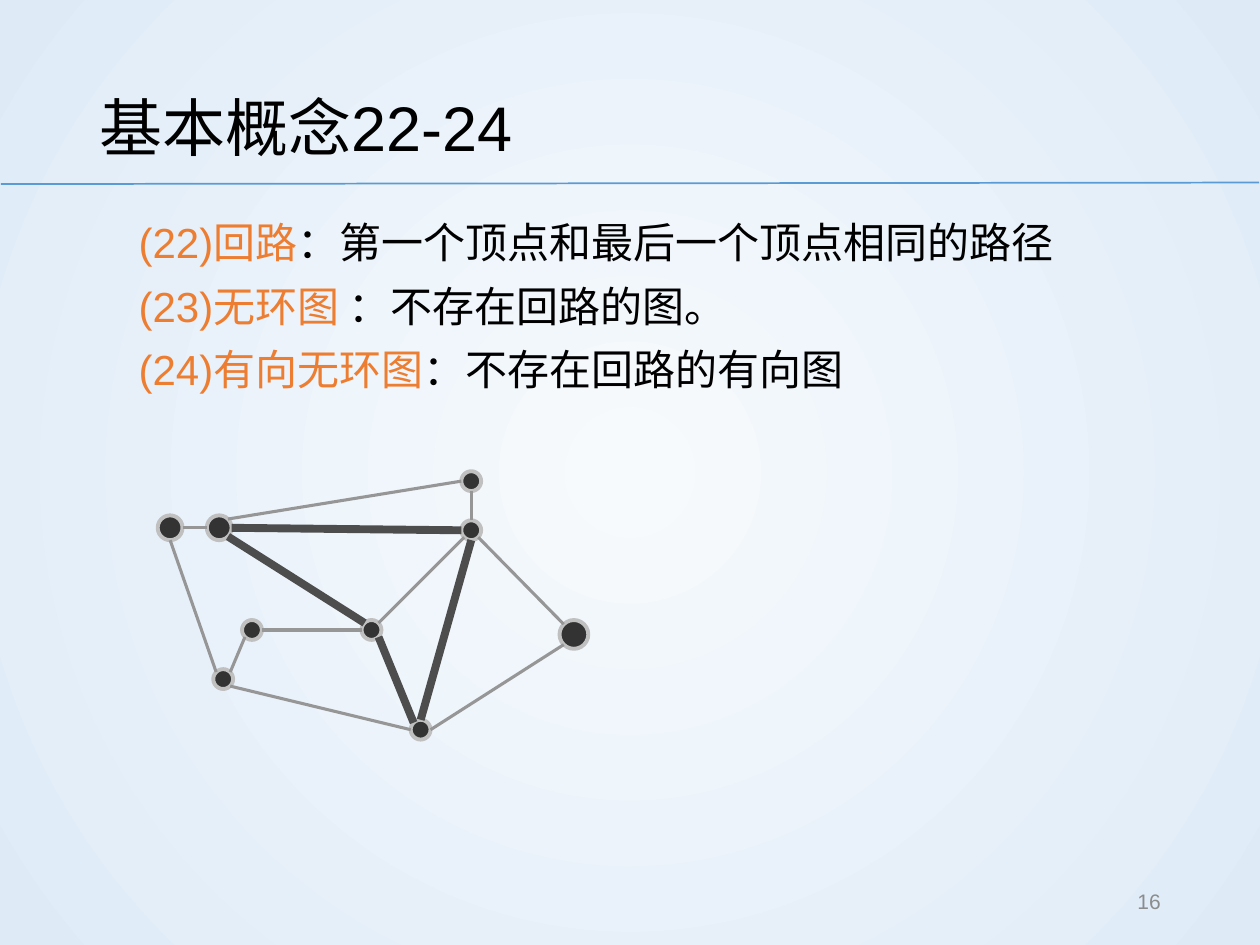
from dataclasses import dataclass
from math import sqrt

from lxml.etree import SubElement
from pptx import Presentation
from pptx.dml.color import RGBColor
from pptx.enum.shapes import MSO_CONNECTOR, MSO_SHAPE
from pptx.enum.text import MSO_ANCHOR, MSO_AUTO_SIZE, PP_ALIGN
from pptx.oxml.ns import qn
from pptx.util import Cm, Pt


@dataclass(frozen=True)
class Theme:
    font: str = "Arial"
    text: str = "000000"
    term: str = "ED7D31"
    page: str = "8C8C8C"
    rule: str = "5B9BD5"
    centre: str = "F7FAFD"
    rim: str = "DEEBF7"
    vertex: str = "333333"
    ring: str = "C0C0C0"
    edge: str = "969696"
    cycle: str = "4D4D4D"
    title_size: float = 36
    body_size: float = 24
    page_size: float = 12
    ring_width: float = 2.25
    edge_width: float = 1.75
    cycle_width: float = 4.5


THEME = Theme()

DEFINITIONS = [
    ("(22)回路", "：第一个顶点和最后一个顶点相同的路径"),
    ("(23)无环图", " ：不存在回路的图。"),
    ("(24)有向无环图", "：不存在回路的有向图"),
]

# Vertices: centre x, centre y, radius in cm
VERTICES = {
    "far_left": (3.43, 10.64, 0.25),
    "left": (4.42, 10.64, 0.25),
    "middle": (7.49, 12.7, 0.2),
    "low_left": (4.5, 13.69, 0.2),
    "inner": (5.08, 12.7, 0.2),
    "upper": (9.5, 10.69, 0.2),
    "right": (11.57, 12.79, 0.29),
    "bottom": (8.48, 14.71, 0.2),
    "top": (9.5, 9.7, 0.2),
}

# Edges join the rims of two vertices at compass points
EDGES = [
    ("far_left", "e", "left", "w"),
    ("inner", "e", "middle", "w"),
    ("low_left", "se", "bottom", "w"),
    ("middle", "ne", "upper", "sw"),
    ("upper", "se", "right", "nw"),
    ("inner", "sw", "low_left", "ne"),
    ("bottom", "e", "right", "sw"),
    ("top", "s", "upper", "n"),
    ("left", "ne", "top", "w"),
    ("far_left", "s", "low_left", "nw"),
]
CYCLE = [
    ("left", "se", "middle", "nw"),
    ("middle", "se", "bottom", "nw"),
    ("upper", "s", "bottom", "n"),
    ("left", "e", "upper", "w"),
]


def rgb(color):
    return RGBColor.from_string(color)


def set_background(slide):
    fill = slide.background.fill
    fill.gradient()
    for stop, position, color in zip(fill.gradient_stops, (0, 1), (THEME.centre, THEME.rim)):
        stop.position = position
        stop.color.rgb = rgb(color)
    # Radial gradient from the middle of the slide
    gradient = slide.element.find(".//" + qn("a:gradFill"))
    gradient.remove(gradient.find(qn("a:lin")))
    circle = SubElement(gradient, qn("a:path"), path="circle")
    SubElement(circle, qn("a:fillToRect"), l="50000", t="50000", r="50000", b="50000")


def place(shape, left, top, width, height, anchor):
    shape.left, shape.top, shape.width, shape.height = map(Cm, (left, top, width, height))
    frame = shape.text_frame
    frame.word_wrap = True
    frame.auto_size = MSO_AUTO_SIZE.NONE
    frame.vertical_anchor = anchor
    return frame


def style_run(run, size, color):
    run.font.name = THEME.font
    run.font.size = Pt(size)
    run.font.color.rgb = rgb(color)


def write_line(frame, text, size, color, alignment):
    frame.text = text
    paragraph = frame.paragraphs[0]
    paragraph.alignment = alignment
    style_run(paragraph.runs[0], size, color)
    return paragraph


def write_definitions(frame):
    for index, (term, meaning) in enumerate(DEFINITIONS):
        paragraph = frame.paragraphs[0] if index == 0 else frame.add_paragraph()
        properties = paragraph._p.get_or_add_pPr()
        properties.set("marL", str(Cm(0.48)))
        properties.set("indent", str(-Cm(0.48)))
        SubElement(properties, qn("a:buNone"))
        paragraph.space_before = Pt(7.5 if index else 0)
        for text, color in ((term, THEME.term), (meaning, THEME.text)):
            run = paragraph.add_run()
            run.text = text
            style_run(run, THEME.body_size, color)


def add_line(slide, start, end, color, width):
    line = slide.shapes.add_connector(MSO_CONNECTOR.STRAIGHT, *map(Cm, (*start, *end)))
    line.line.color.rgb = rgb(color)
    line.line.width = Pt(width)
    SubElement(line._element.spPr, qn("a:effectLst"))


def add_vertex(slide, x, y, radius):
    vertex = slide.shapes.add_shape(
        MSO_SHAPE.OVAL, Cm(x - radius), Cm(y - radius), Cm(2 * radius), Cm(2 * radius))
    vertex.shadow.inherit = False
    vertex.fill.solid()
    vertex.fill.fore_color.rgb = rgb(THEME.vertex)
    vertex.line.color.rgb = rgb(THEME.ring)
    vertex.line.width = Pt(THEME.ring_width)


def rim_point(name, compass):
    x, y, radius = VERTICES[name]
    step = radius / sqrt(len(compass))
    return (x + step * (("e" in compass) - ("w" in compass)),
            y + step * (("s" in compass) - ("n" in compass)))


def add_edges(slide, edges, color, width):
    for start, start_side, end, end_side in edges:
        add_line(slide, rim_point(start, start_side), rim_point(end, end_side), color, width)


def main():
    presentation = Presentation()
    presentation.slide_width, presentation.slide_height = Cm(25.4), Cm(19.05)
    slide = presentation.slides.add_slide(presentation.slide_layouts[1])
    set_background(slide)

    # Title and rule
    add_line(slide, (0.02, 3.71), (25.38, 3.68), THEME.rule, 1)
    title = place(slide.shapes.title, 1.75, 1.02, 21.89, 2.74, MSO_ANCHOR.MIDDLE)
    heading = write_line(title, "基本概念22-24", THEME.title_size, THEME.text, PP_ALIGN.LEFT)
    heading.line_spacing = 1.2

    # Definitions
    body = place(slide.placeholders[1], 2.54, 4.24, 22.61, 12.7, MSO_ANCHOR.TOP)
    write_definitions(body)

    # Graph with its highlighted cycle
    for vertex in VERTICES.values():
        add_vertex(slide, *vertex)
    add_edges(slide, EDGES, THEME.edge, THEME.edge_width)
    add_edges(slide, CYCLE, THEME.cycle, THEME.cycle_width)

    # Page number
    page = place(slide.shapes.add_textbox(0, 0, 0, 0), 17.93, 17.65, 5.72, 1.02, MSO_ANCHOR.MIDDLE)
    write_line(page, "16", THEME.page_size, THEME.page, PP_ALIGN.RIGHT)

    presentation.save("out.pptx")


if __name__ == "__main__":
    main()
